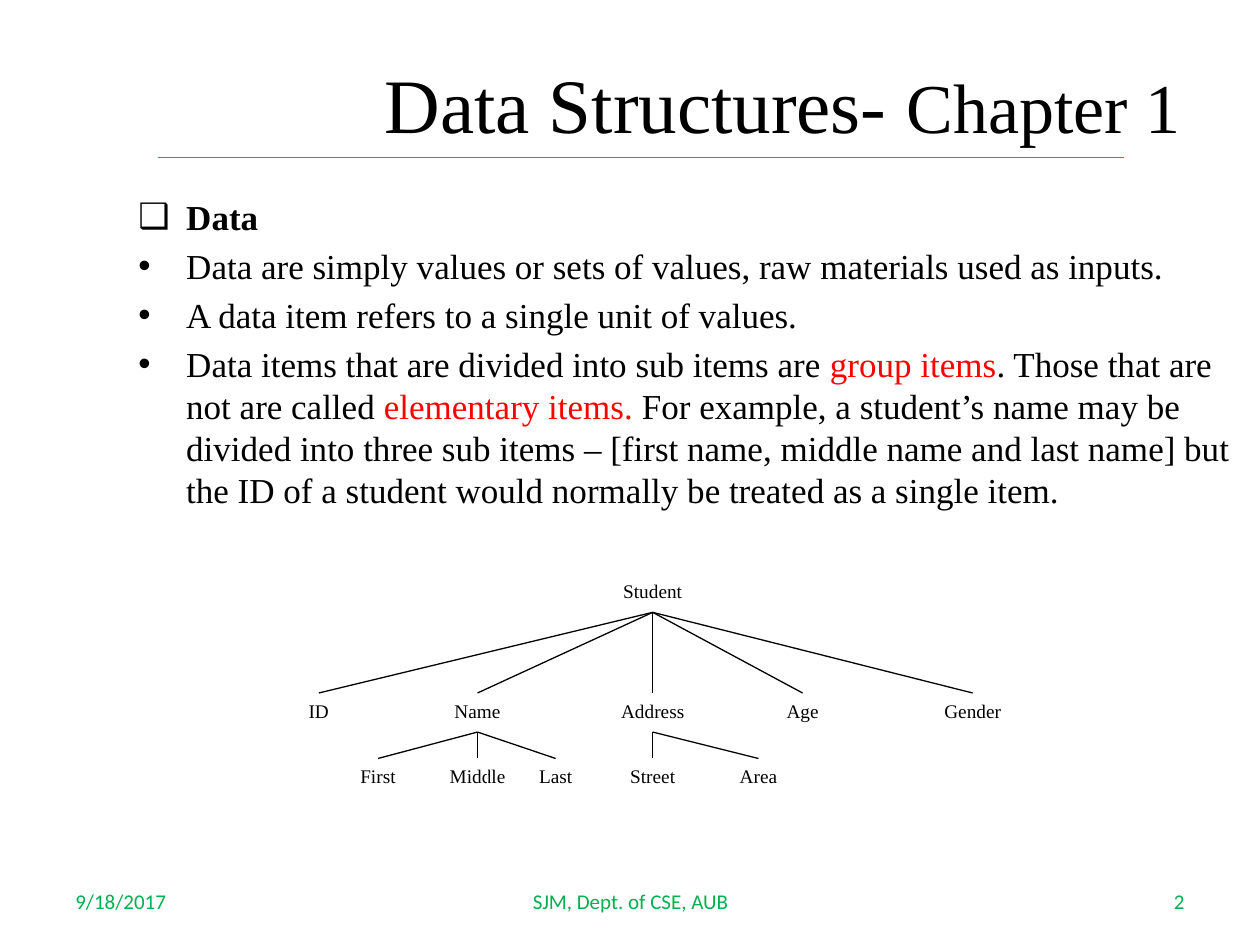
from dataclasses import dataclass

from lxml.etree import SubElement
from pptx import Presentation
from pptx.dml.color import RGBColor
from pptx.enum.shapes import MSO_CONNECTOR, MSO_SHAPE
from pptx.enum.text import MSO_ANCHOR, MSO_AUTO_SIZE, PP_ALIGN
from pptx.oxml.ns import qn
from pptx.util import Inches, Pt


@dataclass(frozen=True)
class Theme:
    serif: str = "Times New Roman"
    sans: str = "Calibri"
    ink: str = "000000"
    accent: str = "FF0000"
    footer: str = "00B050"
    rule: str = "4B7EBC"
    paper: str = "FFFFFF"
    title_size: int = 44
    chapter_size: int = 40
    body_size: int = 20
    footer_size: int = 12
    node_size: int = 11
    line_width: float = 0.75


T = Theme()
WIDTH, HEIGHT = 10, 7.5

TITLE = [("Data Structures- ", T.title_size), ("Chapter 1", T.chapter_size)]

# (bullet, bold, [(text, colour), ...])
BODY = [
    ("❑", True, [("Data", T.ink)]),
    ("•", False, [("Data are simply values or sets of values, raw materials used as inputs.", T.ink)]),
    ("•", False, [("A data item refers to a single unit of values.", T.ink)]),
    ("•", False, [
        ("Data items that are divided into sub items are ", T.ink),
        ("group items", T.accent),
        (". Those that are not are called ", T.ink),
        ("elementary items.", T.accent),
        (" For example, a student’s name may be divided into three sub items – "
         "[first name, middle name and last name] but the ID of a student would "
         "normally be treated as a single item.", T.ink),
    ]),
]

# (text, left, width, alignment)
FOOTER = [
    ("9/18/2017", 0.5, 2.33, PP_ALIGN.LEFT),
    ("SJM, Dept. of CSE, AUB", 3.42, 3.17, PP_ALIGN.CENTER),
    ("2", 7.17, 2.33, PP_ALIGN.RIGHT),
]

# (name, centre x, children)
TREE = ("Student", 5.18, [
    ("ID", 2.53, []),
    ("Name", 3.79, [("First", 3, []), ("Middle", 3.79, []), ("Last", 4.41, [])]),
    ("Address", 5.18, [("Street", 5.18, []), ("Area", 6.02, [])]),
    ("Age", 6.37, []),
    ("Gender", 7.72, []),
])
LEVEL_TOPS = [4.55, 5.5, 6.02]
NODE_W, NODE_H = 1.08, 0.31


def rgb(colour):
    return RGBColor.from_string(colour)


def add_run(p, text, size, colour=T.ink, font=T.serif, bold=False):
    r = p.add_run()
    r.text = text
    r.font.name, r.font.size, r.font.bold = font, Pt(size), bold
    r.font.color.rgb = rgb(colour)


def add_text_box(slide, *box):
    tf = slide.shapes.add_textbox(*map(Inches, box)).text_frame
    tf.word_wrap = True
    return tf


def add_line(slide, x1, y1, x2, y2, colour):
    line = slide.shapes.add_connector(MSO_CONNECTOR.STRAIGHT, *map(Inches, (x1, y1, x2, y2)))
    line.line.color.rgb = rgb(colour)
    line.line.width = Pt(T.line_width)
    SubElement(line._element.spPr, qn("a:effectLst"))


def set_bullet(p, char, indent):
    pPr = p._p.get_or_add_pPr()
    pPr.set("marL", str(Inches(indent)))
    pPr.set("indent", str(-Inches(indent)))
    SubElement(pPr, qn("a:buFont"), typeface="Arial")
    SubElement(pPr, qn("a:buChar"), char=char)


def add_title(slide):
    title = slide.shapes.title
    title.left, title.top, title.width, title.height = map(Inches, (2.42, 0.38, 7.58, 0.87))
    tf = title.text_frame
    tf.auto_size = MSO_AUTO_SIZE.NONE
    tf.vertical_anchor = MSO_ANCHOR.MIDDLE
    p = tf.paragraphs[0]
    p.alignment = PP_ALIGN.CENTER
    for text, size in TITLE:
        add_run(p, text, size)
    add_line(slide, 1.25, 1.25, 8.92, 1.25, T.rule)


def add_body(slide):
    tf = add_text_box(slide, 1, 1.5, WIDTH - 1, 2.67)
    for i, (bullet, bold, runs) in enumerate(BODY):
        p = tf.add_paragraph() if i else tf.paragraphs[0]
        p.space_before = Pt(T.body_size * 0.2)
        set_bullet(p, bullet, 0.38)
        for text, colour in runs:
            add_run(p, text, T.body_size, colour, bold=bold)


def add_footer(slide):
    for text, left, width, align in FOOTER:
        tf = add_text_box(slide, left, 6.95, width, 0.4)
        tf.vertical_anchor = MSO_ANCHOR.MIDDLE
        p = tf.paragraphs[0]
        p.alignment = align
        add_run(p, text, T.footer_size, T.footer, T.sans)


def add_tree(slide, node, level=0):
    """Draw a node, then its children and the branches down to them."""
    name, x, children = node
    top = LEVEL_TOPS[level]
    sp = slide.shapes.add_shape(
        MSO_SHAPE.RECTANGLE, *map(Inches, (x - NODE_W / 2, top, NODE_W, NODE_H)))
    sp.shadow.inherit = False
    sp.fill.background()
    sp.line.color.rgb = rgb(T.paper)
    sp.line.width = Pt(T.line_width)
    tf = sp.text_frame
    tf.vertical_anchor = MSO_ANCHOR.TOP
    p = tf.paragraphs[0]
    p.alignment = PP_ALIGN.CENTER
    p.space_after = Pt(10)
    add_run(p, name, T.node_size)
    for child in children:
        add_tree(slide, child, level + 1)
        add_line(slide, x, top + NODE_H, child[1], LEVEL_TOPS[level + 1], T.ink)


def main():
    prs = Presentation()
    prs.slide_width, prs.slide_height = Inches(WIDTH), Inches(HEIGHT)
    slide = prs.slides.add_slide(prs.slide_layouts[5])
    add_footer(slide)
    add_title(slide)
    add_body(slide)
    add_tree(slide, TREE)
    prs.save("out.pptx")


if __name__ == "__main__":
    main()
